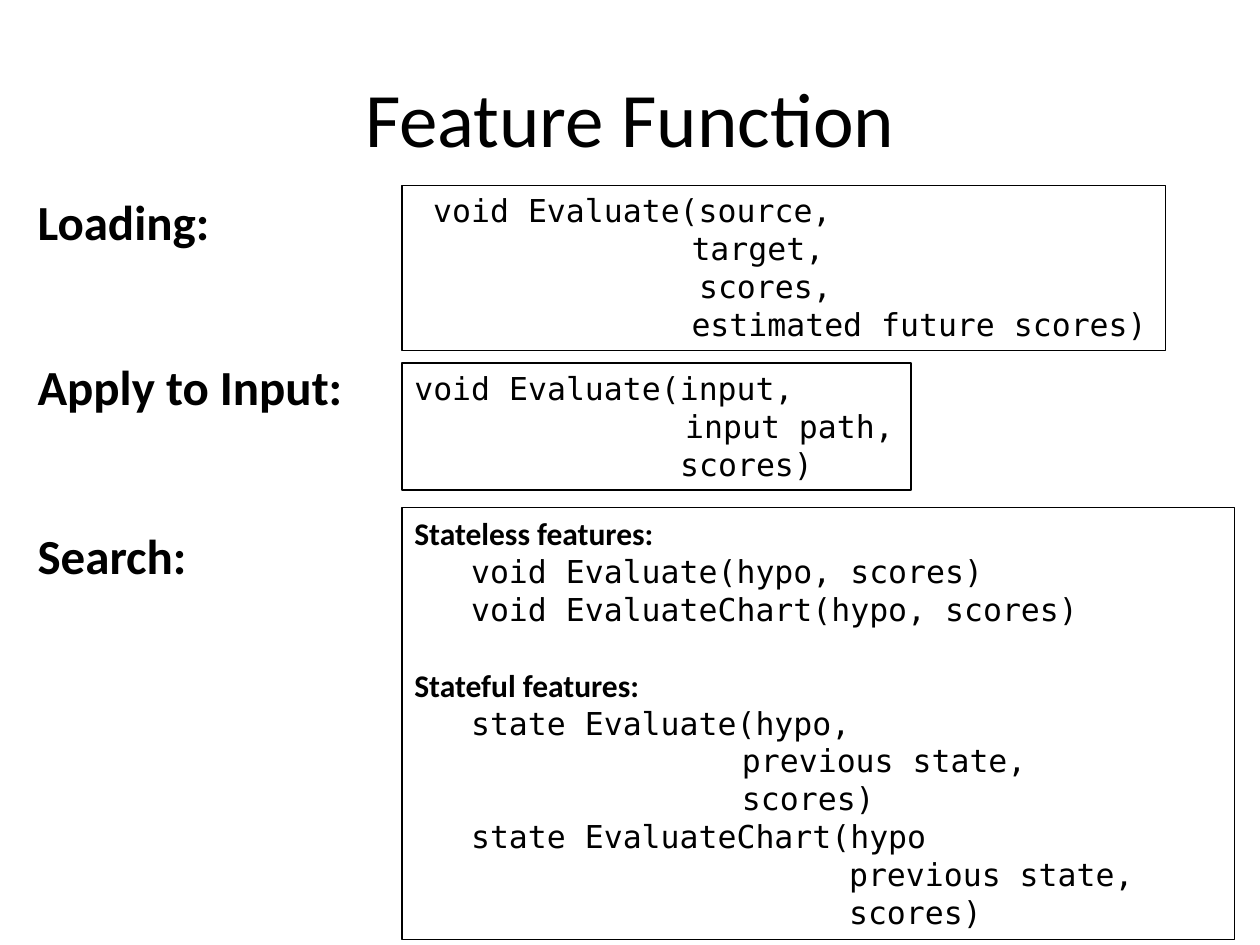
from dataclasses import dataclass

from pptx import Presentation
from pptx.dml.color import RGBColor
from pptx.enum.shapes import MSO_SHAPE as Shape
from pptx.enum.text import MSO_ANCHOR as Anchor, MSO_AUTO_SIZE as AutoSize, PP_ALIGN as Align
from pptx.util import Inches, Pt

BLACK = RGBColor(0x00, 0x00, 0x00)
BODY_FONT = "Calibri"
CODE_FONT = "DejaVu Sans Mono"
COLUMN_LEFT = 3.19
LABEL_LEFT, LABEL_WIDTH, LABEL_HEIGHT = 0.2, 2.91, 0.57


@dataclass(frozen=True)
class Line:
    text: str
    indent: float = 0
    heading: bool = False
    gap_before: float = 0


@dataclass(frozen=True)
class Stage:
    label: str
    label_top: float
    box_top: float
    box_width: float
    box_height: float
    lines: tuple[Line, ...]


STAGES = (
    Stage("Loading:", 1.47, 1.47, 6.06, 1.31, (
        Line("void Evaluate(source,", 0.15),
        Line("target,", 2.2),
        Line("scores,", 2.26),
        Line("estimated future scores)", 2.2),
    )),
    Stage("Apply to Input:", 2.78, 2.88, 4.04, 1.01, (
        Line("void Evaluate(input,"),
        Line("input path,", 2.15),
        Line("scores)", 2.11),
    )),
    Stage("Search:", 4.12, 4.03, 6.61, 3.43, (
        Line("Stateless features:", heading=True),
        Line("void Evaluate(hypo, scores)", 0.45),
        Line("void EvaluateChart(hypo, scores)", 0.45),
        Line("Stateful features:", heading=True, gap_before=22),
        Line("state Evaluate(hypo,", 0.45),
        Line("previous state,", 2.6),
        Line("scores)", 2.6),
        Line("state EvaluateChart(hypo", 0.45),
        Line("previous state,", 3.45),
        Line("scores)", 3.45),
    )),
)


def style(paragraph, size: float, name: str = BODY_FONT, bold: bool = False) -> None:
    font = paragraph.font
    font.size, font.name, font.bold = Pt(size), name, bold
    font.color.rgb = BLACK


def add_title(slide, text: str) -> None:
    title = slide.shapes.add_textbox(Inches(0.5), Inches(0.3), Inches(9), Inches(1.25))
    frame = title.text_frame
    frame.word_wrap = True
    frame.vertical_anchor = Anchor.MIDDLE
    frame.text = text
    frame.paragraphs[0].alignment = Align.CENTER
    style(frame.paragraphs[0], 44)


def add_label(slide, stage: Stage) -> None:
    label = slide.shapes.add_textbox(Inches(LABEL_LEFT), Inches(stage.label_top),
                                     Inches(LABEL_WIDTH), Inches(LABEL_HEIGHT))
    frame = label.text_frame
    frame.word_wrap = True
    frame.auto_size = AutoSize.SHAPE_TO_FIT_TEXT
    frame.text = stage.label
    style(frame.paragraphs[0], 28, bold=True)


def add_code_box(slide, stage: Stage) -> None:
    box = slide.shapes.add_shape(Shape.RECTANGLE, Inches(COLUMN_LEFT), Inches(stage.box_top),
                                 Inches(stage.box_width), Inches(stage.box_height))
    box.shadow.inherit = False
    box.fill.background()
    box.line.color.rgb = BLACK
    box.line.width = Pt(0.75)
    frame = box.text_frame
    frame.word_wrap = True
    frame.auto_size = AutoSize.SHAPE_TO_FIT_TEXT
    frame.vertical_anchor = Anchor.TOP
    frame.text = "\n".join(line.text for line in stage.lines)
    for paragraph, line in zip(frame.paragraphs, stage.lines):
        paragraph.alignment = Align.LEFT
        paragraph.space_before = Pt(line.gap_before)
        style(paragraph, 18, BODY_FONT if line.heading else CODE_FONT, line.heading)
        # Left indent of the code line
        properties = paragraph._p.get_or_add_pPr()
        properties.set("marL", str(Inches(line.indent)))
        properties.set("indent", "0")


def main() -> None:
    deck = Presentation()
    deck.slide_width, deck.slide_height = Inches(10), Inches(7.5)
    slide = deck.slides.add_slide(deck.slide_layouts[6])

    add_title(slide, "Feature Function")
    # Code boxes on the right, stage labels on the left
    for stage in STAGES:
        add_code_box(slide, stage)
    for stage in STAGES:
        add_label(slide, stage)

    deck.save("out.pptx")


if __name__ == "__main__":
    main()
